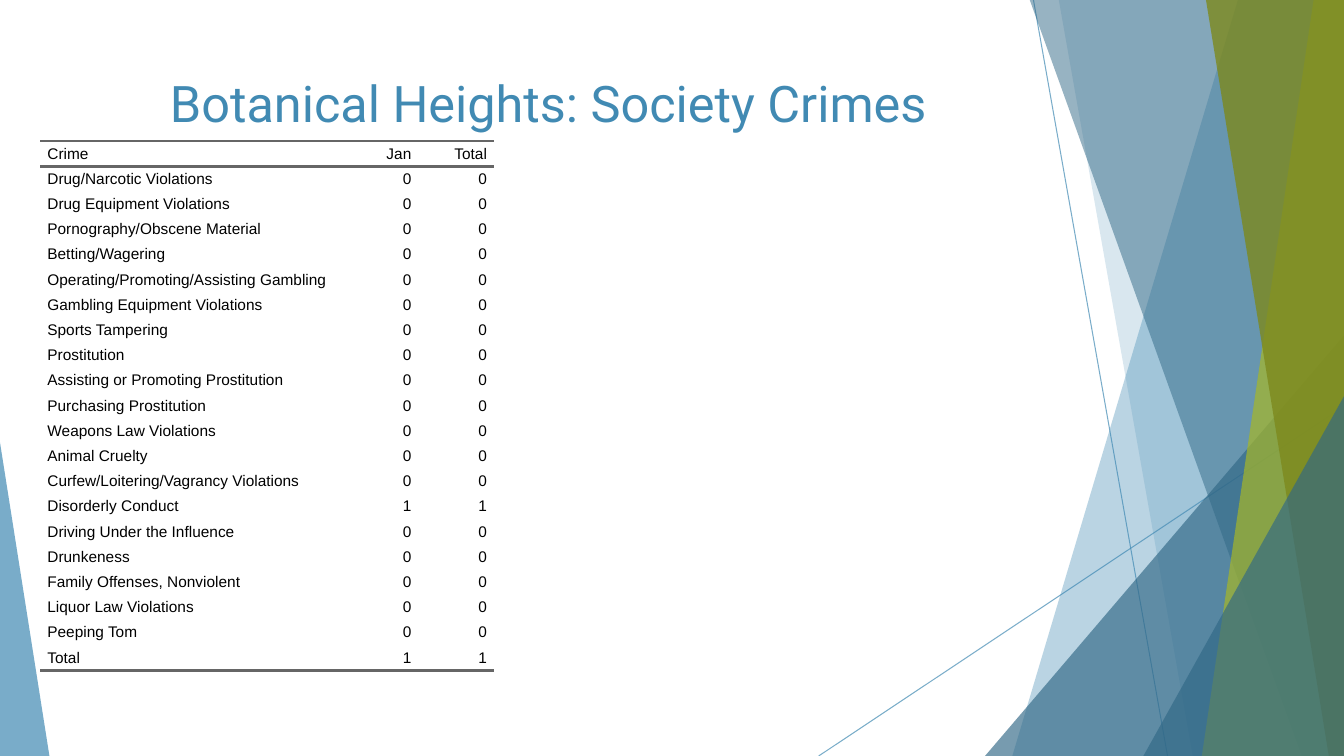
"""Build the Botanical Heights society crimes slide."""
from lxml import etree
from pptx import Presentation
from pptx.dml.color import RGBColor
from pptx.enum.shapes import MSO_CONNECTOR, MSO_SHAPE
from pptx.enum.text import MSO_ANCHOR, PP_ALIGN
from pptx.oxml.ns import qn
from pptx.util import Inches, Pt

STRAIGHT = MSO_CONNECTOR.STRAIGHT
TRIANGLE = MSO_SHAPE.ISOSCELES_TRIANGLE
TOP, MIDDLE = MSO_ANCHOR.TOP, MSO_ANCHOR.MIDDLE
LEFT, CENTER, RIGHT = PP_ALIGN.LEFT, PP_ALIGN.CENTER, PP_ALIGN.RIGHT

COLORS = {"blue": "418AB3", "navy": "316886", "lime": "A6B727",
          "olive": "7D891D", "rule": "666666", "text": "000000"}
WIDTH, HEIGHT = 13.33, 7.5
BAND_TOP = -0.01
NO_GRID_STYLE = "{2D5ABB26-0587-4C30-8999-92F81FD0307C}"

TITLE = "Botanical Heights: Society Crimes"
HEADER = ("Crime", "Jan", "Total")
CRIMES = [
    ("Drug/Narcotic Violations", 0),
    ("Drug Equipment Violations", 0),
    ("Pornography/Obscene Material", 0),
    ("Betting/Wagering", 0),
    ("Operating/Promoting/Assisting Gambling", 0),
    ("Gambling Equipment Violations", 0),
    ("Sports Tampering", 0),
    ("Prostitution", 0),
    ("Assisting or Promoting Prostitution", 0),
    ("Purchasing Prostitution", 0),
    ("Weapons Law Violations", 0),
    ("Animal Cruelty", 0),
    ("Curfew/Loitering/Vagrancy Violations", 0),
    ("Disorderly Conduct", 1),
    ("Driving Under the Influence", 0),
    ("Drunkeness", 0),
    ("Family Offenses, Nonviolent", 0),
    ("Liquor Law Violations", 0),
    ("Peeping Tom", 0),
]
COLUMN_WIDTHS = (3, 0.75, 0.75)
ROW_HEIGHT = 0.25

RAYS = [((10.25, 0), (11.58, HEIGHT)), ((WIDTH, 4.03), (8.12, HEIGHT))]
# Each facet is ("band", top x, bottom x) or ("triangle", left, top, width, apex).
FACETS = [
    (("band", 12.28, 10.04), "blue", 36),
    (("band", 10.5, 11.83), "blue", 20),
    (("triangle", 9.77, 3.33, 3.56, 1), "navy", 66),
    (("band", 10.21, 12.91), "navy", 50),
    (("band", 13.03, 11.92), "lime", 70),
    (("band", 11.96, 13.18), "olive", 80),
    (("triangle", 11.34, 3.93, 1.99, 1), "navy", 66),
    (("triangle", 0, 4.39, 0.49, 0), "blue", 70),
]


def paint(fill, color, opacity):
    fill.solid()
    fill.fore_color.rgb = RGBColor.from_string(COLORS[color])
    for tone in fill._xPr.iter(qn("a:srgbClr")):
        etree.SubElement(tone, qn("a:alpha"), val=str(opacity * 1000))


def add_ray(page, start, end):
    ray = page.shapes.add_connector(STRAIGHT, *map(Inches, start + end))
    paint(ray.line.fill, "blue", 70)
    ray.line.width = Pt(0.75)
    etree.SubElement(ray._element.spPr, qn("a:effectLst"))


def add_facet(page, outline, color, opacity):
    kind, *numbers = outline
    if kind == "band":
        top_x, bottom_x = numbers
        corners = [(top_x, BAND_TOP), (WIDTH, BAND_TOP),
                   (WIDTH, HEIGHT), (bottom_x, HEIGHT)]
        points = [(Inches(x), Inches(y)) for x, y in corners]
        builder = page.shapes.build_freeform(*points[0])
        builder.add_line_segments(points[1:], close=True)
        facet = builder.convert_to_shape()
    else:
        left, top, width, apex = numbers
        frame = map(Inches, (left, top, width, HEIGHT - top))
        facet = page.shapes.add_shape(TRIANGLE, *frame)
        facet.adjustments[0] = apex
    facet.shadow.inherit = False
    facet.line.fill.background()
    paint(facet.fill, color, opacity)


def write(para, text, align, font, size, color):
    para.text = text
    para.alignment = align
    para.font.name = font
    para.font.size = Pt(size)
    para.font.color.rgb = RGBColor.from_string(COLORS[color])


def add_rule(cell, side):
    rule = etree.SubElement(cell._tc.get_or_add_tcPr(), qn(f"a:{side}"), w=str(Pt(2)))
    fill = etree.SubElement(rule, qn("a:solidFill"))
    etree.SubElement(fill, qn("a:srgbClr"), val=COLORS["rule"])


def add_crime_table(page):
    total = sum(count for _, count in CRIMES)
    rows = [HEADER] + [(name, count, count) for name, count in CRIMES]
    rows.append(("Total", total, total))
    frame = page.shapes.add_table(
        len(rows), len(HEADER), Inches(0.4), Inches(1.4),
        Inches(sum(COLUMN_WIDTHS)), Inches(ROW_HEIGHT * len(rows)))
    table = frame.table
    table.first_row = table.horz_banding = False
    table._tbl.tblPr.find(qn("a:tableStyleId")).text = NO_GRID_STYLE
    for column, width in zip(table.columns, COLUMN_WIDTHS):
        column.width = Inches(width)
    for row_index, values in enumerate(rows):
        table.rows[row_index].height = Inches(ROW_HEIGHT)
        for column_index, value in enumerate(values):
            cell = table.cell(row_index, column_index)
            cell.margin_left = cell.margin_right = 0
            cell.margin_top = cell.margin_bottom = 0
            cell.vertical_anchor = MIDDLE
            if row_index == 0:
                add_rule(cell, "lnT")
            if row_index in (0, len(rows) - 1):
                add_rule(cell, "lnB")
            cell.fill.background()
            para = cell.text_frame.paragraphs[0]
            write(para, str(value), RIGHT if column_index else LEFT, "Arial", 11, "text")
            para.space_before = para.space_after = Pt(5)
            indent = para._p.get_or_add_pPr()
            for side in ("marL", "marR"):
                indent.set(side, str(Inches(0.07)))


def add_title(page):
    box = page.shapes.add_textbox(*map(Inches, (0.74, 0.67, 9.4, 1.44)))
    box.text_frame.word_wrap = True
    box.text_frame.vertical_anchor = TOP
    write(box.text_frame.paragraphs[0], TITLE, CENTER, "Roboto", 36, "blue")


def main():
    deck = Presentation()
    deck.slide_width, deck.slide_height = Inches(WIDTH), Inches(HEIGHT)
    page = deck.slides.add_slide(deck.slide_layouts[6])
    for start, end in RAYS:
        add_ray(page, start, end)
    for outline, color, opacity in FACETS:
        add_facet(page, outline, color, opacity)
    add_crime_table(page)
    add_title(page)
    deck.save("out.pptx")


if __name__ == "__main__":
    main()
